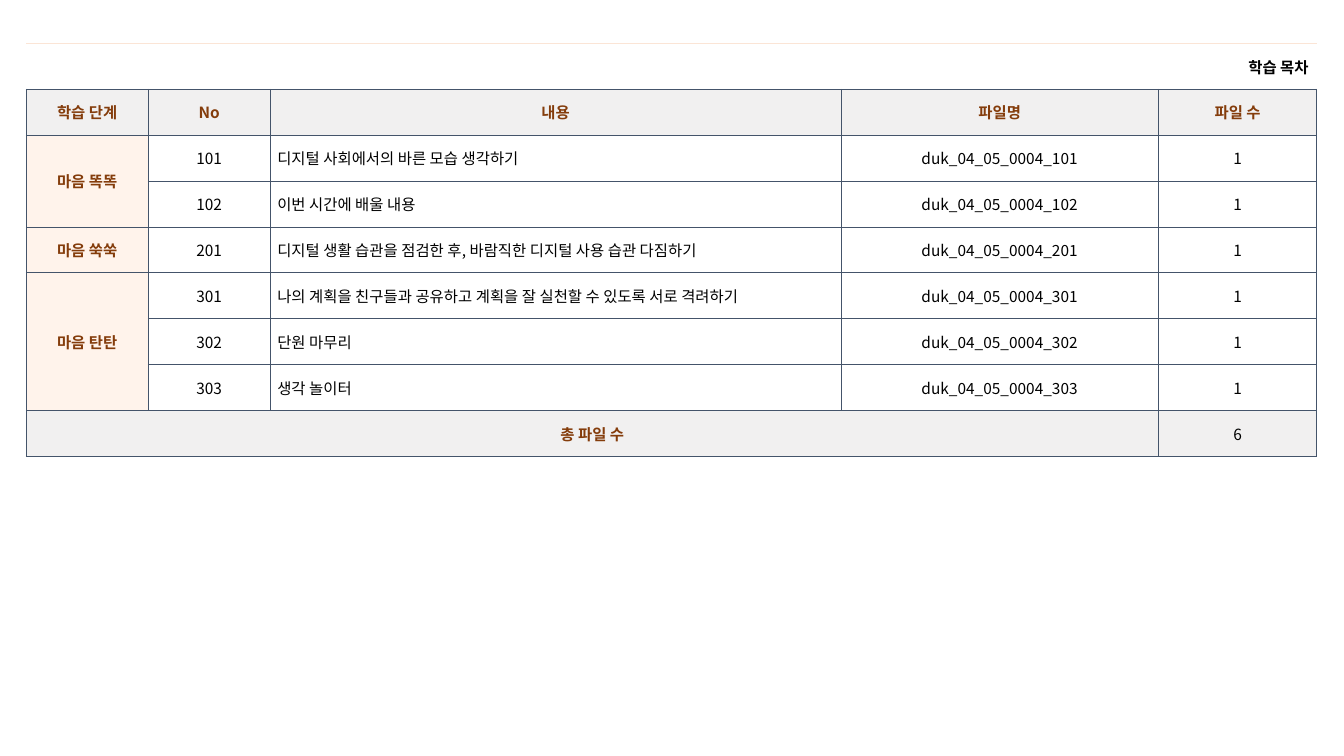
from lxml.etree import SubElement as Sub
from pptx import Presentation as Deck
from pptx.dml.color import RGBColor as Color
from pptx.enum.text import MSO_ANCHOR as Anchor, PP_ALIGN as Align
from pptx.oxml.ns import qn
from pptx.util import Inches, Pt

HUES = {
    "ink": "000000",
    "brown": "843C0B",
    "line": "44546A",
    "rule": "FBE5D6",
    "grey": "F1F0F0",
    "peach": "FFF3EB",
    "white": "FFFFFF",
}
FONT = "Noto Sans CJK KR"
HEADS = ["학습 단계", "No", "내용", "파일명", "파일 수"]
STAGES = [
    ("마음 똑똑", [
        (101, "디지털 사회에서의 바른 모습 생각하기"),
        (102, "이번 시간에 배울 내용"),
    ]),
    ("마음 쑥쑥", [
        (201, "디지털 생활 습관을 점검한 후, 바람직한 디지털 사용 습관 다짐하기"),
    ]),
    ("마음 탄탄", [
        (301, "나의 계획을 친구들과 공유하고 계획을 잘 실천할 수 있도록 서로 격려하기"),
        (302, "단원 마무리"),
        (303, "생각 놀이터"),
    ]),
]
GRID = {side: ("line", 0.5) for side in "LRTB"}
OPEN = {"L": None, "R": None, "T": ("rule", 0.25), "B": ("line", 0.5)}


class Page:
    def __init__(self, deck):
        self.wide, self.high = deck.slide_width, deck.slide_height
        self.slide = deck.slides.add_slide(deck.slide_layouts[6])

    def across(self, share):
        return round(self.wide * share / 100)

    def down(self, share):
        return round(self.high * share / 100)

    def table(self, left, top, cols, count, row):
        frame = self.slide.shapes.add_table(
            count, len(cols), self.across(left), self.down(top),
            self.across(sum(cols)), self.down(row * count))
        grid = frame.table
        grid.first_row = grid.horz_banding = False
        for col, share in zip(grid.columns, cols):
            col.width = self.across(share)
        for line in grid.rows:
            line.height = self.down(row)
        return grid

    def edge(self, cell, sides):
        props = cell._tc.get_or_add_tcPr()
        for side, style in sides.items():
            if style is None:
                Sub(Sub(props, qn(f"a:ln{side}")), qn("a:noFill"))
                continue
            hue, size = style
            line = Sub(props, qn(f"a:ln{side}"), w=str(Pt(size)))
            Sub(Sub(line, qn("a:solidFill")), qn("a:srgbClr"), val=HUES[hue])

    def cell(self, cell, fill=None, sides=GRID):
        self.edge(cell, sides)
        cell.margin_left = cell.margin_right = Inches(0.07)
        cell.vertical_anchor = Anchor.MIDDLE
        if fill:
            cell.fill.solid()
            cell.fill.fore_color.rgb = Color.from_string(HUES[fill])
        else:
            cell.fill.background()

    def text(self, cell, text, hue="ink", bold=False, align=Align.CENTER):
        cell.text = str(text)
        para = cell.text_frame.paragraphs[0]
        para.alignment = align
        font = para.font
        font.name, font.size, font.bold = FONT, Pt(11), bold
        font.color.rgb = Color.from_string(HUES[hue])
        Sub(font._element, qn("a:ea"), typeface=FONT)


def build(page):
    files = sum(len(items) for _, items in STAGES)
    last = files + 2
    grid = page.table(1.95, 5.73, [9.08, 9.08, 42.46, 23.63, 11.78], last + 1, 6.07)
    for row in range(last + 1):
        for col in range(len(HEADS)):
            cell = grid.cell(row, col)
            if row == 0:
                page.cell(cell, sides=OPEN)
            elif row in (1, last):
                page.cell(cell, "grey")
            else:
                page.cell(cell, "white" if col else "peach")

    title = grid.cell(0, 0)
    title.merge(grid.cell(0, 4))
    title.margin_left = title.margin_right = Inches(0.08)
    page.text(title, "학습 목차", bold=True, align=Align.RIGHT)
    for col, head in enumerate(HEADS):
        page.text(grid.cell(1, col), head, "brown", True)

    row = 2
    for stage, items in STAGES:
        first = grid.cell(row, 0)
        if len(items) > 1:
            first.merge(grid.cell(row + len(items) - 1, 0))
        page.text(first, stage, "brown", True)
        for code, topic in items:
            page.text(grid.cell(row, 1), code)
            page.text(grid.cell(row, 2), topic, align=Align.LEFT)
            page.text(grid.cell(row, 3), f"duk_04_05_0004_{code}")
            page.text(grid.cell(row, 4), 1)
            row += 1

    total = grid.cell(last, 0)
    total.merge(grid.cell(last, 3))
    page.text(total, "총 파일 수", "brown", True)
    page.text(grid.cell(last, 4), files)


def main():
    deck = Deck()
    deck.slide_width, deck.slide_height = Inches(13.33), Inches(7.5)
    build(Page(deck))
    deck.save("out.pptx")


if __name__ == "__main__":
    main()
